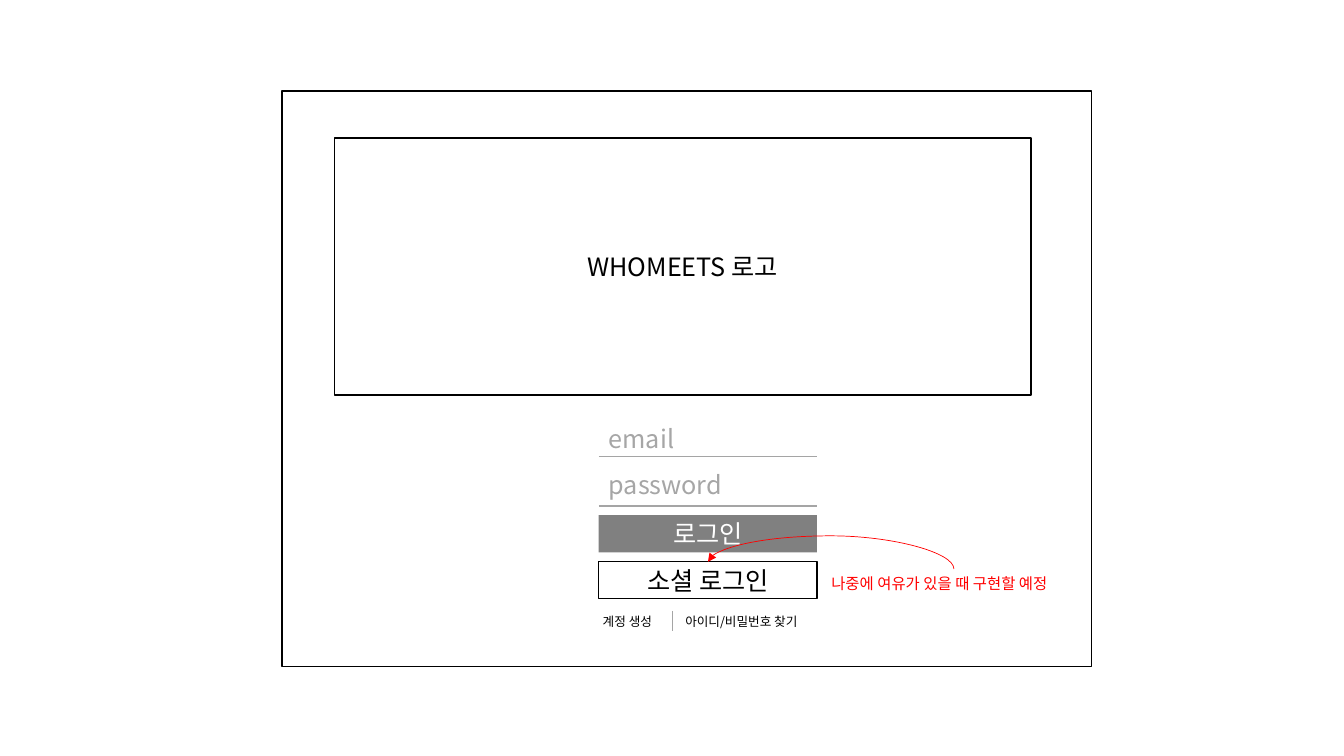
"""Builds a login screen wireframe slide."""
import pptx
import pptx.util
import pptx.dml.color
import pptx.enum.shapes
import pptx.enum.text
import pptx.oxml
import pptx.oxml.ns

Cm = pptx.util.Cm
Pt = pptx.util.Pt
ALIGN = pptx.enum.text.PP_ALIGN
ANCHOR = pptx.enum.text.MSO_ANCHOR
CONNECTOR = pptx.enum.shapes.MSO_CONNECTOR

FONT = "Noto Sans CJK KR"
COLORS = {"black": "000000", "white": "FFFFFF", "button": "808080",
          "hint": "A6A6A6", "rule": "A5A5A5", "note": "FF0000"}

FORM_LEFT, FORM_WIDTH, ROW_HEIGHT = 15.09, 5.5, 0.94
LINKS_TOP, LINK_HEIGHT = 15.34, 0.64

PANELS = [
    ("", (7.11, 2.29, 20.4, 14.5), None, "black", "black"),
    ("WHOMEETS 로고", (8.43, 3.48, 17.55, 6.48), "white", "black", "black"),
]
FIELDS = [("email", 10.57), ("password", 11.73)]
BUTTONS = [
    ("로그인", 12.98, "button", None, "white"),
    ("소셜 로그인", 14.15, None, "black", "black"),
]
LABELS = [
    ("계정 생성", (14.94, LINKS_TOP, 1.9, LINK_HEIGHT), 9, "black"),
    ("아이디/비밀번호 찾기", (17.02, LINKS_TOP, 3.63, LINK_HEIGHT), 9, "black"),
    ("나중에 여유가 있을 때 구현할 예정", (20.7, 14.33, 6.68, 0.74), 11, "note"),
]
FORM_RIGHT = FORM_LEFT + FORM_WIDTH
RULES = [
    ((FORM_LEFT, 11.51, FORM_RIGHT, 11.51), 1),
    ((FORM_LEFT, 12.75, FORM_RIGHT, 12.75), 1),
    ((16.94, 15.39, 16.94, 15.9), 0.5),
]
NOTE_ARROW = (20.85, 17.35, 21.03, 11.15)
NOTE_ARROW_BEND = 464700

deck = pptx.Presentation()
deck.slide_width, deck.slide_height = Cm(33.87), Cm(19.05)
slide = deck.slides.add_slide(deck.slide_layouts[6])


def rgb(name):
    return pptx.dml.color.RGBColor.from_string(COLORS[name])


def write(shape, text, size, color, align=ALIGN.LEFT, anchor=ANCHOR.MIDDLE, wrap=True):
    frame = shape.text_frame
    frame.word_wrap = wrap
    frame.vertical_anchor = anchor
    frame.text = text
    paragraph = frame.paragraphs[0]
    paragraph.alignment = align
    for run in paragraph.runs:
        run.font.size = Pt(size)
        run.font.name = FONT
        run.font.color.rgb = rgb(color)
        east_asian = pptx.oxml.parse_xml(
            f'<a:ea {pptx.oxml.ns.nsdecls("a")} typeface="{FONT}"/>')
        run.font._element.append(east_asian)


def add_box(text, place, fill, line, color):
    box = slide.shapes.add_shape(
        pptx.enum.shapes.MSO_SHAPE.RECTANGLE, *map(Cm, place))
    box.shadow.inherit = False
    if fill:
        box.fill.solid()
        box.fill.fore_color.rgb = rgb(fill)
    else:
        box.fill.background()
    if line:
        box.line.color.rgb = rgb(line)
        box.line.width = Pt(1)
    else:
        box.line.fill.background()
    if text:
        write(box, text, 18, color, ALIGN.CENTER)


def add_line(kind, ends, color, width):
    line = slide.shapes.add_connector(kind, *map(Cm, ends))
    line.line.color.rgb = rgb(color)
    line.line.width = Pt(width)
    line._element.spPr.append(
        pptx.oxml.parse_xml(f'<a:effectLst {pptx.oxml.ns.nsdecls("a")}/>'))
    return line


for panel in PANELS:
    add_box(*panel)

for hint, top in FIELDS:
    field = slide.shapes.add_textbox(
        *map(Cm, (FORM_LEFT, top, FORM_WIDTH, ROW_HEIGHT)))
    write(field, hint, 18, "hint")

for caption, top, fill, line, color in BUTTONS:
    add_box(caption, (FORM_LEFT, top, FORM_WIDTH, ROW_HEIGHT), fill, line, color)

for ends, width in RULES:
    add_line(CONNECTOR.STRAIGHT, ends, "rule", width)

for text, place, size, color in LABELS:
    label = slide.shapes.add_textbox(*map(Cm, place))
    write(label, text, size, color, anchor=ANCHOR.TOP, wrap=False)
    label.text_frame.auto_size = pptx.enum.text.MSO_AUTO_SIZE.SHAPE_TO_FIT_TEXT

arrow = add_line(CONNECTOR.CURVE, NOTE_ARROW, "note", 0.5)
qn = pptx.oxml.ns.qn
arrow_props = arrow._element.spPr
arrow_props.find(qn("a:xfrm")).set("rot", "16200000")
bends = arrow_props.find(qn("a:prstGeom")).find(qn("a:avLst"))
bends.append(pptx.oxml.parse_xml(
    f'<a:gd {pptx.oxml.ns.nsdecls("a")} name="adj1" fmla="val {NOTE_ARROW_BEND}"/>'))
arrow_props.find(qn("a:ln")).append(pptx.oxml.parse_xml(
    f'<a:tailEnd {pptx.oxml.ns.nsdecls("a")} type="triangle"/>'))

deck.save("out.pptx")
